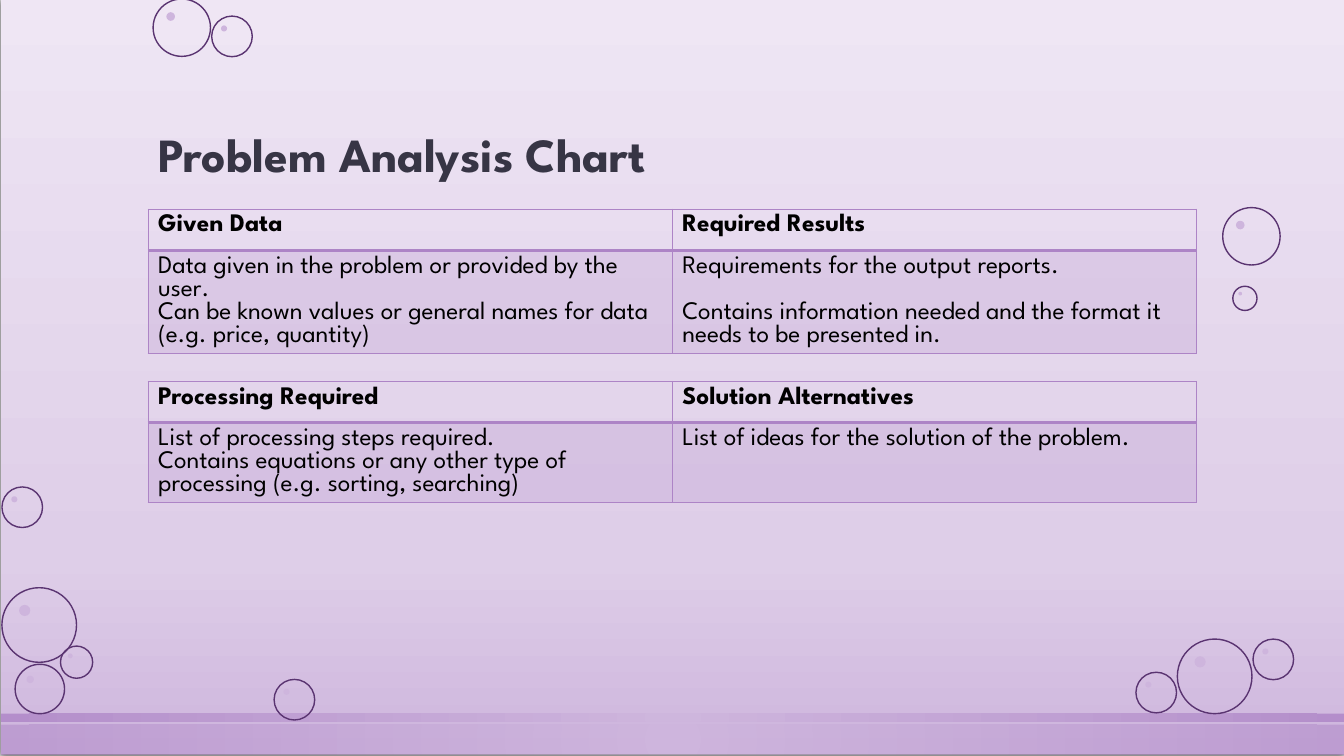
from dataclasses import dataclass

from pptx import Presentation
from pptx.dml.color import RGBColor as Rgb
from pptx.enum.shapes import MSO_SHAPE as Kind
from pptx.enum.text import MSO_ANCHOR as Anchor, MSO_AUTO_SIZE as Fit, PP_ALIGN as Align
from pptx.oxml import parse_xml as to_xml
from pptx.oxml.ns import nsdecls, qn
from pptx.util import Pt

HUES = {
    "pale": "EFE6F4",
    "mist": "DECEE8",
    "lilac": "CEB5DD",
    "violet": "AD84C6",
    "plum": "5A3471",
    "slate": "373545",
    "black": "000000",
}
FONT = "League Spartan"
NS = nsdecls("a")
LEFT, WIDE = 105.8, 748.8
HEAD = 29.5
LINE = 16.5


@dataclass
class Band:
    top: float
    high: float
    stops: list[tuple[int, str]]
    alpha: int
    way: str
    shade: bool = False


@dataclass
class Bubble:
    left: float
    top: float
    size: float


@dataclass
class Grid:
    top: float
    body: float
    heads: list[str]
    texts: list[list[str]]
    gaps: list[float]


LINEAR = '<a:lin ang="5400000" scaled="0"/>'
RADIAL = '<a:path path="circle"><a:fillToRect l="50000" t="50000" r="50000" b="50000"/></a:path>'
GLOW = [(0, "lilac"), (100, "violet")]
BANDS = [
    Band(-1.4, 540, [(0, "pale"), (74, "mist"), (100, "lilac")], 100, LINEAR, True),
    Band(517.7, 21.6, GLOW, 50, RADIAL),
    Band(509.8, 5.8, GLOW, 80, RADIAL),
]

BIG, MID, SMALL = 53.3, 41, 29
BUBBLES = [
    Bubble(1.4, 419.8, BIG),
    Bubble(43.2, 461.5, 23),
    Bubble(10.8, 474.5, 35.3),
    Bubble(195.8, 485.3, SMALL),
    Bubble(1.4, 347.8, SMALL),
    Bubble(841, 456.5, BIG),
    Bubble(811.4, 480.2, SMALL),
    Bubble(895, 456.5, SMALL),
    Bubble(873.4, 148.3, MID),
    Bubble(880.6, 204.5, 17.3),
    Bubble(109.4, -0.7, MID),
    Bubble(151.2, 11.5, SMALL),
]

GRIDS = [
    Grid(149.5, 73.4, ["Given Data", "Required Results"], [
        ["Data given in the problem or provided by the user.",
         "Can be known values or general names for data (e.g. price, quantity)"],
        ["Requirements for the output reports.",
         "Contains information needed and the format it needs to be presented in."],
    ], [0, LINE]),
    Grid(272.4, 57, ["Processing Required", "Solution Alternatives"], [
        ["List of processing steps required.",
         "Contains equations or any other type of processing (e.g. sorting, searching)"],
        ["List of ideas for the solution of the problem."],
    ], [0, 0]),
]


def hue(name: str) -> Rgb:
    return Rgb.from_string(HUES[name])


def style(font, size: float, bold: bool, tint: str) -> None:
    for key, value in {"name": FONT, "size": Pt(size), "bold": bold}.items():
        setattr(font, key, value)
    font.color.rgb = hue(tint)


def draw_band(shapes, band: Band) -> None:
    shape = shapes.add_shape(Kind.RECTANGLE, Pt(0.7), Pt(band.top), Pt(960), Pt(band.high))
    shape.shadow.inherit = False
    shape.line.fill.background()
    shape.fill.background()
    stops = "".join(
        f'<a:gs pos="{pos * 1000}"><a:srgbClr val="{HUES[name]}">'
        f'<a:alpha val="{band.alpha * 1000}"/></a:srgbClr></a:gs>'
        for pos, name in band.stops
    )
    props = shape.element.spPr
    fade = to_xml(f'<a:gradFill {NS} rotWithShape="1"><a:gsLst>{stops}</a:gsLst>{band.way}</a:gradFill>')
    props.replace(props.find(qn("a:noFill")), fade)
    if band.shade:
        props.find(qn("a:effectLst")).append(to_xml(
            f'<a:outerShdw {NS} blurRad="57150" dist="19050" dir="5400000" algn="ctr" rotWithShape="0">'
            f'<a:srgbClr val="{HUES["black"]}"><a:alpha val="63000"/></a:srgbClr></a:outerShdw>'))


def draw_disc(shapes, left: float, top: float, size: float):
    disc = shapes.add_shape(Kind.OVAL, Pt(left), Pt(top), Pt(size), Pt(size))
    disc.shadow.inherit = False
    return disc


def draw_bubble(shapes, item: Bubble) -> None:
    ring = draw_disc(shapes, item.left, item.top, item.size)
    ring.fill.background()
    ring.line.color.rgb = hue("plum")
    ring.line.width = Pt(1)
    shift = item.size * 0.23
    glint = draw_disc(shapes, item.left + shift, item.top + shift, item.size * 0.15)
    glint.fill.solid()
    glint.fill.fore_color.rgb = hue("lilac")
    glint.line.fill.background()


def draw_edges(cell, sides: dict[str, int]) -> None:
    props = cell._tc.get_or_add_tcPr()
    for side, width in sides.items():
        props.append(to_xml(
            f'<a:ln{side} {NS} w="{Pt(width)}"><a:solidFill>'
            f'<a:srgbClr val="{HUES["violet"]}"/></a:solidFill></a:ln{side}>'))


def fill_cell(cell, lines: list[str], gap: float, bold: bool) -> None:
    frame = cell.text_frame
    frame.text = "\n".join(lines)
    for order, para in enumerate(frame.paragraphs):
        para.space_before = Pt(gap if order else 0)
        style(para.runs[0].font, 18, bold, "black")


def draw_grid(shapes, grid: Grid) -> None:
    table = shapes.add_table(2, 2, Pt(LEFT), Pt(grid.top), Pt(WIDE), Pt(HEAD + grid.body)).table
    table.horz_banding = False
    table.first_row = False
    for row, high in zip(table.rows, (HEAD, grid.body)):
        row.height = Pt(high)
    for col, (head, lines, gap) in enumerate(zip(grid.heads, grid.texts, grid.gaps)):
        top, body = table.cell(0, col), table.cell(1, col)
        fill_cell(top, [head], 0, True)
        draw_edges(top, {"L": 1, "R": 1, "T": 1, "B": 2})
        top.fill.background()
        fill_cell(body, lines, gap, False)
        draw_edges(body, {"L": 1, "R": 1, "T": 2, "B": 1})
        body.fill.solid()
        body.fill.fore_color.rgb = hue("violet")
        tint = body._tc.tcPr.find(qn("a:solidFill")).find(qn("a:srgbClr"))
        tint.append(to_xml(f'<a:alpha {NS} val="20000"/>'))


def draw_title(shapes) -> None:
    title = shapes.title
    box = {"left": LEFT, "top": 36.7, "width": WIDE, "height": 97.2}
    for key, value in box.items():
        setattr(title, key, Pt(value))
    frame = title.text_frame
    frame.text = "Problem Analysis Chart"
    form = {"vertical_anchor": Anchor.BOTTOM, "auto_size": Fit.NONE, "word_wrap": True}
    for key, value in form.items():
        setattr(frame, key, value)
    para = frame.paragraphs[0]
    para.alignment = Align.LEFT
    para.line_spacing = 0.9
    style(para.runs[0].font, 34, True, "slate")
    shapes.element.append(title.element)


def main() -> None:
    deck = Presentation()
    deck.slide_width, deck.slide_height = Pt(960), Pt(540)
    shapes = deck.slides.add_slide(deck.slide_layouts[5]).shapes
    for band in BANDS:
        draw_band(shapes, band)
    for item in BUBBLES:
        draw_bubble(shapes, item)
    draw_title(shapes)
    for grid in GRIDS:
        draw_grid(shapes, grid)
    deck.save("out.pptx")


if __name__ == "__main__":
    main()
